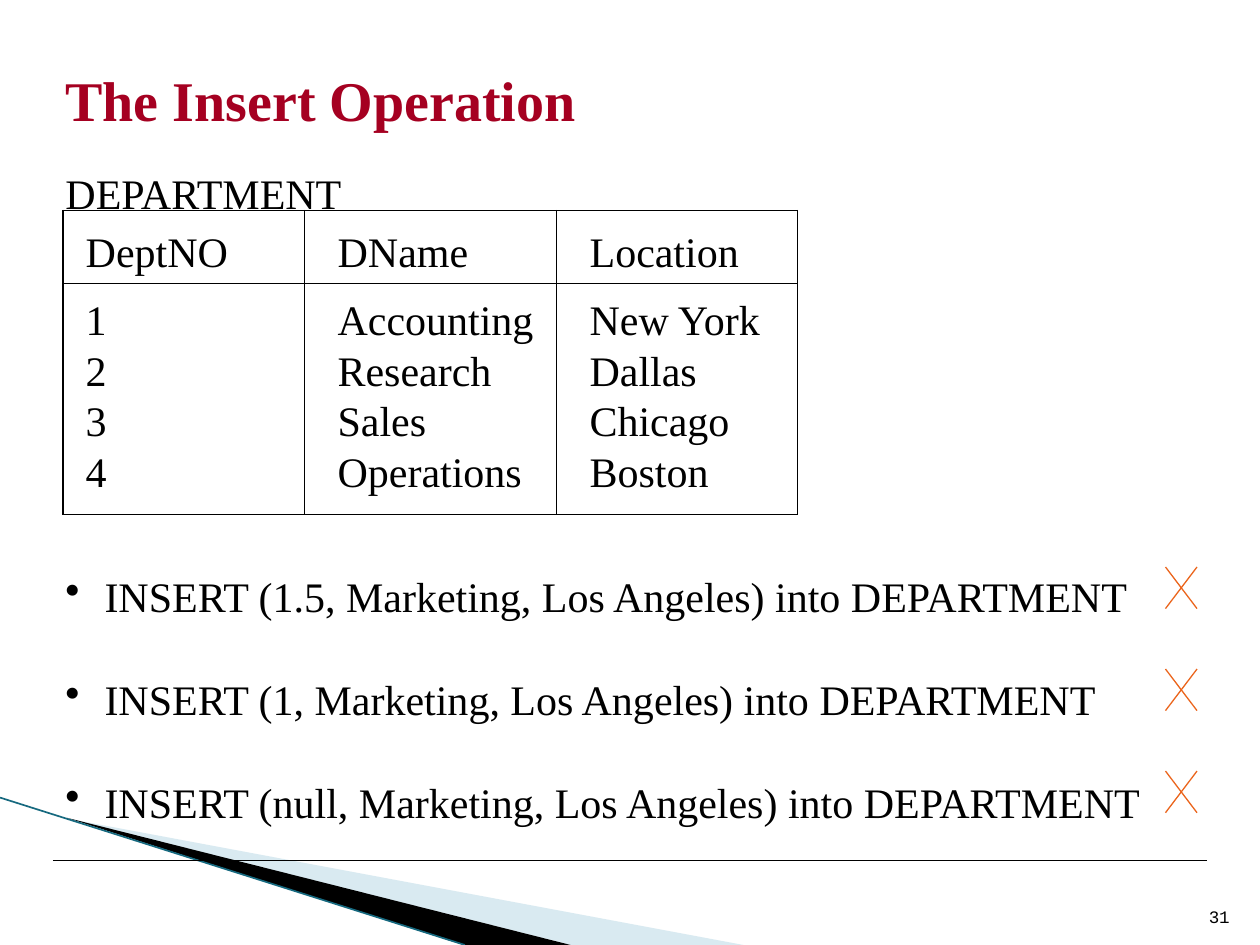
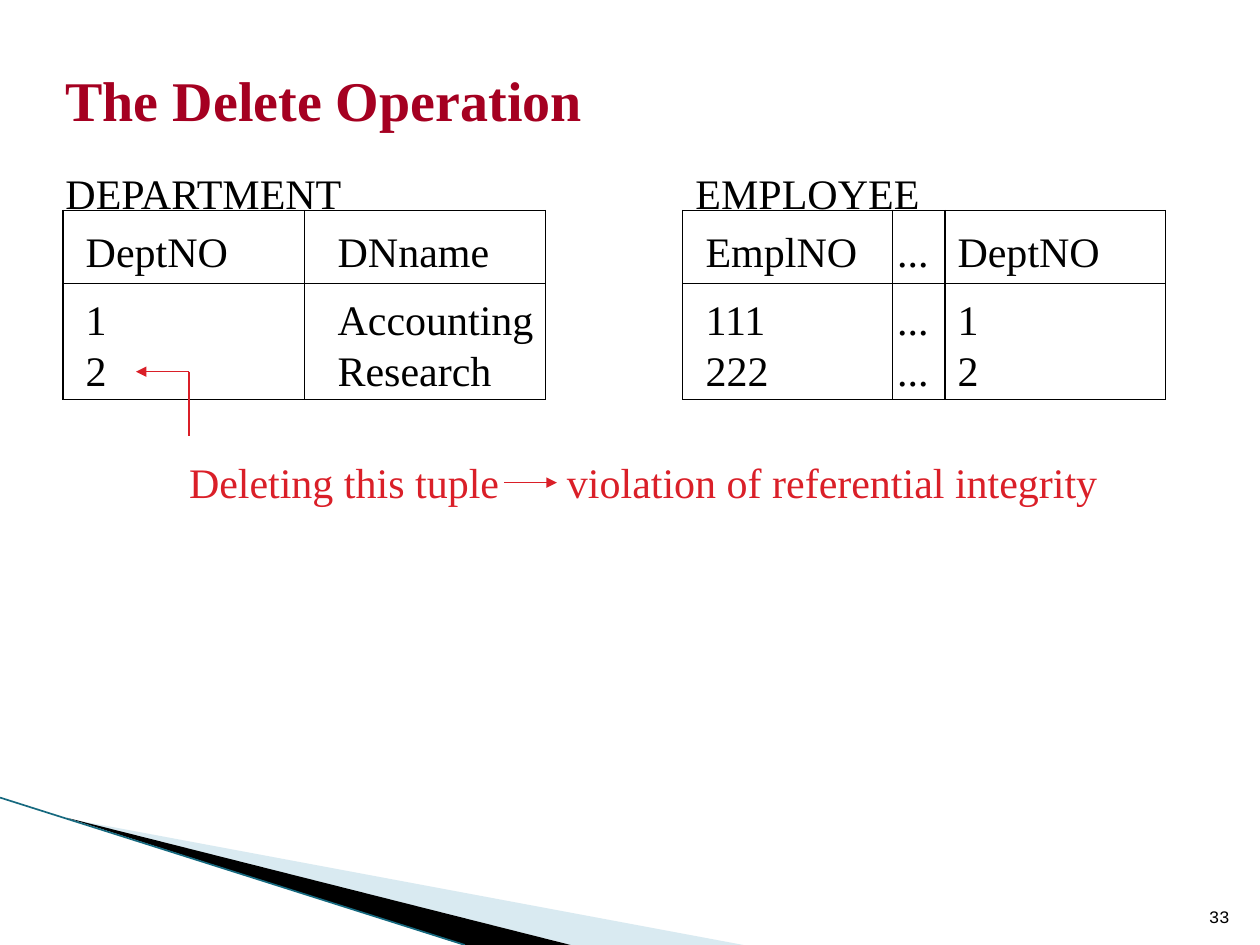
import pptx
import pptx.util
import pptx.dml.color
import pptx.enum.shapes
import pptx.enum.text
import pptx.oxml
import pptx.oxml.ns
from lxml import etree

Inches = pptx.util.Inches
Pt = pptx.util.Pt
qn = pptx.oxml.ns.qn

COLORS = {
    "title": "A50021",
    "text": "000000",
    "wedge_light": "A0CBDC",
    "wedge_dark": "000000",
    "wedge_edge": "16697F",
    "cross": "EB641B",
    "warning": "DA1F28",
}
SERIF, MONO = "Times New Roman", "Courier New"
LEFT = 0.52
TABLE_TOP, HEADER_HEIGHT = 1.67, 0.58
ROW_HEIGHT, BODY_GAP = 0.4, 0.12


def rgb(color):
    return pptx.dml.color.RGBColor.from_string(COLORS[color])


class Deck:
    def __init__(self):
        self.prs = pptx.Presentation()
        self.prs.slide_width, self.prs.slide_height = Inches(10), Inches(7.5)
        self.slide = None

    def new_slide(self, title, number):
        self.slide = self.prs.slides.add_slide(self.prs.slide_layouts[6])
        # Corner wedges
        self.wedge([(0.55, 6.5), (5.9, 7.5), (4.53, 7.5)], "wedge_light", 40)
        self.wedge([(0.53, 6.49), (4.53, 7.5), (3.68, 7.5)], "wedge_dark")
        self.line((0, 6.33), (3.69, 7.5), "wedge_edge", width=0.95)
        # Title and slide number
        self.text([title], LEFT, 0.52, 9, 0.52, size=32, color="title", bold=True)
        page = self.text([number], 9.46, 7, 0.3, 0.36, size=10, font=MONO)
        page.vertical_anchor = pptx.enum.text.MSO_ANCHOR.BOTTOM
        page.paragraphs[0].alignment = pptx.enum.text.PP_ALIGN.RIGHT

    def style(self, paragraph, size=24, color="text", font=SERIF, bold=False):
        for run in paragraph.runs:
            run.font.size, run.font.name, run.font.bold = Pt(size), font, bold
            run.font.color.rgb = rgb(color)

    def text(self, lines, left, top, width, height=0.4, **look):
        frame = self.slide.shapes.add_textbox(
            Inches(left), Inches(top), Inches(width), Inches(height)).text_frame
        frame.word_wrap = True
        frame.margin_left = frame.margin_right = 0
        frame.margin_top = frame.margin_bottom = 0
        frame.text = "\n".join(lines)
        for paragraph in frame.paragraphs:
            self.style(paragraph, **look)
        return frame

    def bullets(self, lines, top, gap):
        frame = self.text(lines, LEFT, top, 9.4, 2)
        for paragraph in frame.paragraphs:
            paragraph.space_after = Pt(gap)
            props = paragraph._p.get_or_add_pPr()
            props.set("marL", str(Inches(0.31)))
            props.set("indent", str(-Inches(0.31)))
            etree.SubElement(props, qn("a:buChar")).set("char", "•")

    def line(self, start, end, color="text", width=0.75, arrow=False):
        connector = self.slide.shapes.add_connector(
            pptx.enum.shapes.MSO_CONNECTOR.STRAIGHT,
            *(Inches(value) for value in (*start, *end)))
        connector.line.color.rgb = rgb(color)
        connector.line.width = Pt(width)
        props = connector._element.spPr
        if arrow:
            etree.SubElement(props.find(qn("a:ln")), qn("a:tailEnd")).set("type", "triangle")
        etree.SubElement(props, qn("a:effectLst"))

    def cross(self, left, top, width=0.25, height=0.33):
        right, bottom = left + width, top + height
        self.line((left, top), (right, bottom), "cross")
        self.line((right, top), (left, bottom), "cross")

    def wedge(self, points, color, opacity=None):
        corners = [(Inches(x), Inches(y)) for x, y in points]
        builder = self.slide.shapes.build_freeform(*corners[0])
        builder.add_line_segments(corners[1:], close=True)
        shape = builder.convert_to_shape()
        shape.shadow.inherit = False
        shape.fill.solid()
        shape.fill.fore_color.rgb = rgb(color)
        shape.line.fill.background()
        if opacity:
            fill_color = shape._element.spPr.find(".//" + qn("a:srgbClr"))
            etree.SubElement(fill_color, qn("a:alpha")).set("val", str(opacity * 1000))

    def borders(self, cell, drawn):
        props = cell._tc.get_or_add_tcPr()
        for index, side in enumerate("LRTB"):
            edge = etree.Element(qn("a:ln" + side), w=str(Pt(0.75)))
            if side in drawn:
                fill = etree.SubElement(edge, qn("a:solidFill"))
                etree.SubElement(fill, qn("a:srgbClr")).set("val", COLORS["text"])
            else:
                etree.SubElement(edge, qn("a:noFill"))
            props.insert(index, edge)

    def relation(self, name, rows, left, widths, indents, name_left, bottom_gap=0):
        """A named relation: ruled header, records without rules between them."""
        self.text([name], name_left, 1.33, 3)
        last = len(rows) - 1
        heights = [HEADER_HEIGHT] + [ROW_HEIGHT] * last
        heights[1] += BODY_GAP
        heights[last] += bottom_gap
        table = self.slide.shapes.add_table(
            len(rows), len(widths), Inches(left), Inches(TABLE_TOP),
            Inches(sum(widths)), Inches(sum(heights))).table
        table.first_row = table.horz_banding = False
        for column, width in zip(table.columns, widths):
            column.width = Inches(width)
        for r, values in enumerate(rows):
            table.rows[r].height = Inches(heights[r])
            for c, value in enumerate(values):
                cell = table.cell(r, c)
                cell.text_frame.text = value
                self.style(cell.text_frame.paragraphs[0])
                cell.margin_left = Inches(indents[c])
                cell.margin_right = cell.margin_bottom = 0
                cell.margin_top = Inches({0: 0.16, 1: BODY_GAP}.get(r, 0))
                cell.fill.background()
                self.borders(cell, "LR" + "T" * (r < 2) + "B" * (r in (0, last)))


deck = Deck()

# Insert: the relation and three rejected tuples
deck.new_slide("The Insert Operation", "31")
deck.line((0.42, 6.83), (9.58, 6.83))
deck.relation(
    "DEPARTMENT",
    [("DeptNO", "DName", "Location"),
     ("1", "Accounting", "New York"),
     ("2", "Research", "Dallas"),
     ("3", "Sales", "Chicago"),
     ("4", "Operations", "Boston")],
    left=0.5, widths=(1.92, 2, 1.91), indents=(0.18, 0.26, 0.26),
    name_left=LEFT, bottom_gap=0.11)
rejected = ["1.5", "1", "null"]
deck.bullets([f"INSERT ({key}, Marketing, Los Angeles) into DEPARTMENT" for key in rejected],
             top=4.53, gap=30)
for position in range(len(rejected)):
    deck.cross(9.25, 4.5 + 0.81 * position)

# Delete: two linked relations and the violation
deck.new_slide("The Delete Operation", "33")
deck.relation(
    "DEPARTMENT",
    [("DeptNO", "DNname"), ("1", "Accounting"), ("2", "Research")],
    left=0.5, widths=(1.92, 1.91), indents=(0.18, 0.26), name_left=LEFT)
deck.relation(
    "EMPLOYEE",
    [("EmplNO", "...", "DeptNO"), ("111", "...", "1"), ("222", "...", "2")],
    left=5.42, widths=(1.66, 0.42, 1.75), indents=(0.18, 0.04, 0.1), name_left=5.52)

# Pointer from the note to the deleted tuple
deck.line((1.5, 2.95), (1.08, 2.95), "warning", arrow=True)
deck.line((1.5, 2.95), (1.5, 3.46), "warning")
deck.text(["Deleting this tuple"], 1.5, 3.62, 2.48, color="warning")
deck.line((4, 3.83), (4.42, 3.83), "warning", arrow=True)
deck.text(["violation of referential integrity"], 4.5, 3.62, 4.5, color="warning")

deck.prs.save("out.pptx")
